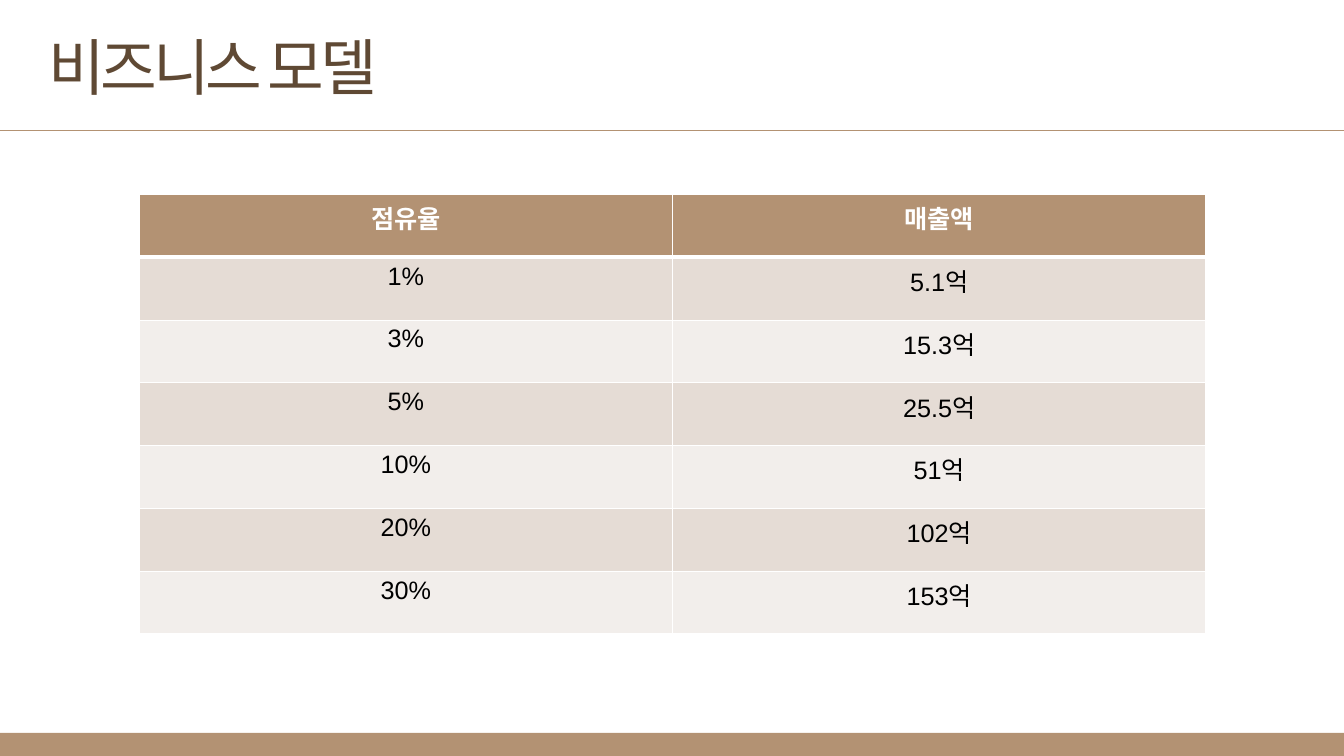
from lxml import etree
from pptx import Presentation
from pptx.dml.color import RGBColor
from pptx.enum.shapes import MSO_CONNECTOR as CONN, MSO_SHAPE as SHAPE
from pptx.enum.text import MSO_AUTO_SIZE as AUTO, PP_ALIGN as ALIGN
from pptx.oxml.ns import qn
from pptx.util import Inches, Pt

WIDTH, HEIGHT = 13.33, 7.5
TAN, BROWN, WHITE, BLACK = "B39273", "5F4934", "FFFFFF", "000000"
BANDS = ["E5DCD5", "F2EEEB"]
ROWS = [
    ("점유율", "매출액"),
    ("1%", "5.1억"),
    ("3%", "15.3억"),
    ("5%", "25.5억"),
    ("10%", "51억"),
    ("20%", "102억"),
    ("30%", "153억"),
]


def rgb(value):
    """Turn a hex string into a colour."""
    return RGBColor.from_string(value)


def write(p, text, color, **font):
    """Add one formatted run to a paragraph and return it."""
    r = p.add_run()
    r.text = text
    r.font.color.rgb = rgb(color)
    for name, value in {"name": "Arial", **font}.items():
        setattr(r.font, name, value)
    return r


def add_border(cell, side, width):
    """Draw one white edge of a cell."""
    ln = etree.SubElement(cell._tc.get_or_add_tcPr(), qn(f"a:ln{side}"), w=str(Pt(width)))
    fill = etree.SubElement(ln, qn("a:solidFill"))
    etree.SubElement(fill, qn("a:srgbClr"), val=WHITE)


def add_header(s, x, y, w, h):
    """Place the title and the thin rule along the bottom of the box."""
    tb = s.shapes.add_textbox(Inches(x + 0.38), Inches(y + 0.24), Inches(3.78), Inches(0.84))
    tf = tb.text_frame
    tf.word_wrap = False
    tf.auto_size = AUTO.SHAPE_TO_FIT_TEXT
    r = write(tf.paragraphs[0], "비즈니스 모델", BROWN, size=Pt(44))
    r.font._element.set("spc", "-300")
    rule = s.shapes.add_connector(
        CONN.STRAIGHT, Inches(x), Inches(y + h), Inches(x + w), Inches(y + h))
    rule.line.color.rgb = rgb(TAN)
    rule.line.width = Pt(0.5)
    etree.SubElement(rule._element.spPr, qn("a:effectLst"))


def add_sales_table(s, x, y, w, h):
    """Place the table of sales by market share."""
    table = s.shapes.add_table(
        len(ROWS), len(ROWS[0]), Inches(x), Inches(y), Inches(w), Inches(h)).table
    for i, values in enumerate(ROWS):
        header = i == 0
        for j, text in enumerate(values):
            cell = table.cell(i, j)
            widths = {"L": 1, "R": 1, "T": 3 if i == 1 else 1, "B": 3 if header else 1}
            for side, width in widths.items():
                add_border(cell, side, width)
            cell.fill.solid()
            cell.fill.fore_color.rgb = rgb(TAN if header else BANDS[(i - 1) % 2])
            p = cell.text_frame.paragraphs[0]
            p.alignment = ALIGN.CENTER
            write(p, text, WHITE if header else BLACK, size=Pt(18), bold=header)


def add_footer(s, x, y, w, h):
    """Place the plain footer band."""
    sp = s.shapes.add_shape(SHAPE.RECTANGLE, Inches(x), Inches(y), Inches(w), Inches(h))
    sp.shadow.inherit = False
    sp.fill.solid()
    sp.fill.fore_color.rgb = rgb(TAN)
    sp.line.fill.background()


def main():
    """Build the slide and save it."""
    prs = Presentation()
    prs.slide_width, prs.slide_height = Inches(WIDTH), Inches(HEIGHT)
    s = prs.slides.add_slide(prs.slide_layouts[6])
    add_footer(s, 0, 7.27, WIDTH, 0.23)
    add_header(s, 0, 0, WIDTH, 1.29)
    add_sales_table(s, 1.38, 1.93, 10.58, 4.36)
    prs.save("out.pptx")


if __name__ == "__main__":
    main()
